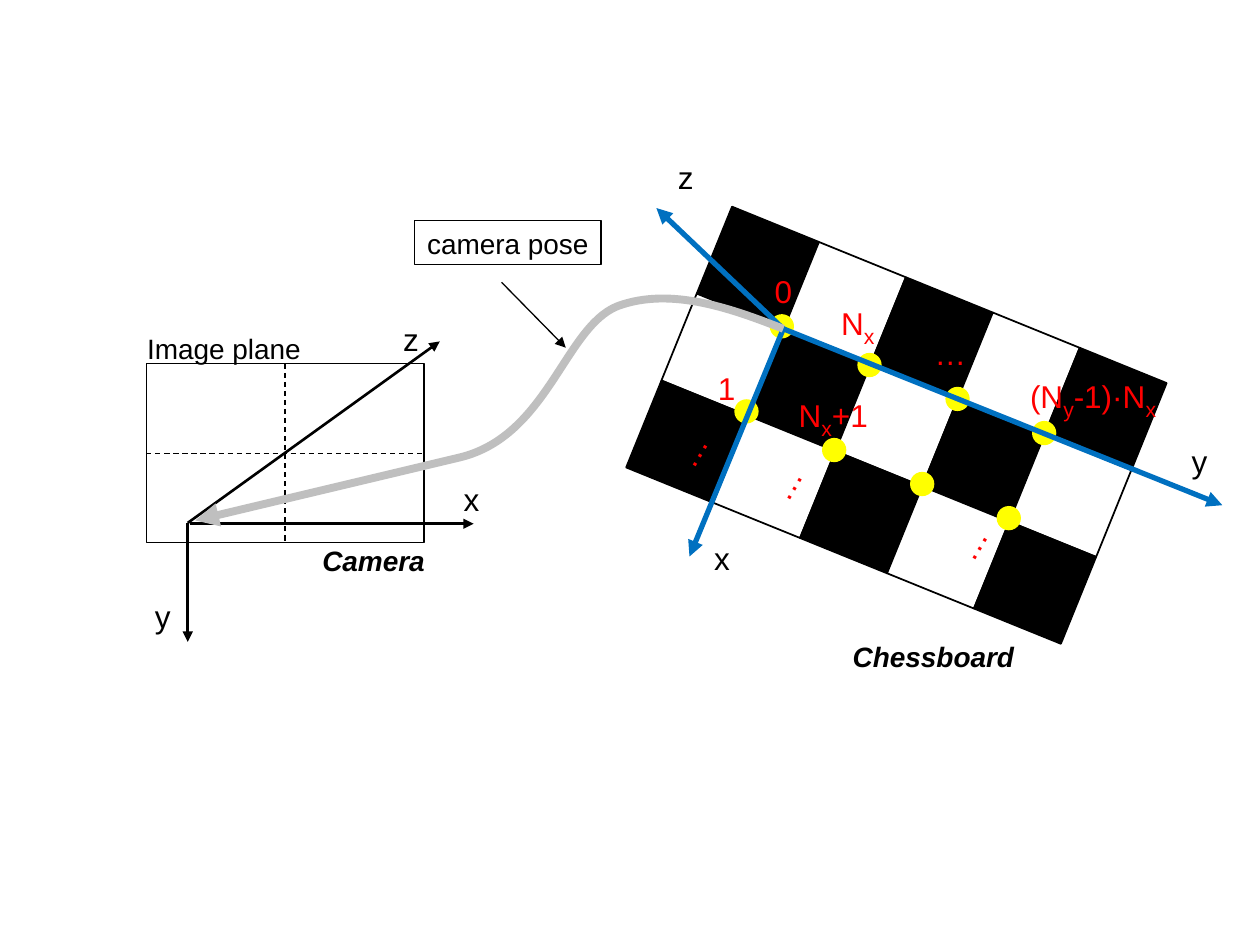
from math import atan2, degrees, hypot
from lxml.etree import SubElement
from pptx import Presentation
from pptx.dml.color import RGBColor
from pptx.enum.dml import MSO_LINE
from pptx.enum.shapes import MSO_CONNECTOR, MSO_SHAPE
from pptx.enum.text import PP_ALIGN
from pptx.oxml.ns import qn
from pptx.util import Pt

THEME = {
    "font": "Arial",
    "black": RGBColor(0, 0, 0),
    "white": RGBColor(255, 255, 255),
    "red": RGBColor(255, 0, 0),
    "yellow": RGBColor(255, 255, 0),
    "blue": RGBColor(0, 112, 192),
    "grey": RGBColor(191, 191, 191),
    "axis": 18,
    "caption": 16,
    "subscript": 20.8,
}

CAMERA = (107.3, 298.8)
CAMERA_AXES = [(CAMERA, (107.3, 366.8)), (CAMERA, (251.3, 195.1)),
               ((108.5, 299.3), (270.7, 299.3))]
PLANE = (83.6, 207.9, 158.7, 102.2)

BOARD, ROWS, COLS = (418.3, 118.1), 3, 5
STEP = (49.68, 20.16)
ORIGIN = (447.6, 187.9)
BOARD_AXES = [(ORIGIN, (698.5, 288.7)), (ORIGIN, (394, 318)),
              (ORIGIN, (375.1, 118.9))]
DOTS = [(446.8, 186.5), (496.9, 208.6), (547.2, 228), (596.7, 247.5)]
DOT_ROWS = [(0, 0), (-20.2, 48.6)]
DOT = 13.9

AXIS_LABELS = [
    ("z", 223.2, 179.5), ("y", 81.4, 337.7), ("x", 257.8, 270.9),
    ("z", 380.2, 86.6), ("y", 673.9, 249.3), ("x", 401, 304.6),
]
CAPTIONS = [
    ("Image plane", 77, 185.6, 102.2, False),
    ("Camera", 177.1, 306.9, 72.7, True),
    ("Chessboard", 480.2, 361.8, 106.6, True),
]
CORNER_LABELS = [
    (["0"], 435.6, 152, 24.5, 0),
    (["1"], 403.2, 207.2, 24.5, 0),
    (["N", "x", "+1"], 449.3, 220, 56, 0),
    (["N", "x"], 473.5, 167.4, 38, 0),
    (["(N", "y", "-1)·N", "x"], 581.5, 209.2, 90, 0),
    (["…"], 527, 187.2, 32.4, 0),
    (["…"], 378, 243.4, 32.4, 300.3),
    (["…"], 432, 262.1, 32.4, 300.3),
    (["…"], 537.8, 296.6, 32.4, 300.3),
]
POSE_START = (447.6, 187.9)
POSE_CURVES = [[(419.8, 177.1), (383.8, 163.4), (352.8, 175)],
               [(322.6, 187.2), (313.2, 249.1), (262.8, 261.4)]]
POSE_END = (111.6, 297.4)
POSE_LABEL = ("camera pose", 236.9, 126, 106.6, 25.2)
POSE_POINTER = ((286.6, 161.3), (323.3, 198.7))


def style_line(line, color, width):
    line.color.rgb = THEME[color]
    line.width = Pt(width)


def add_arrowhead(sp):
    SubElement(sp.line._get_or_add_ln(), qn("a:tailEnd"), type="triangle")


def add_line(shapes, start, end, color, width, arrow=True):
    line = shapes.add_connector(MSO_CONNECTOR.STRAIGHT, *map(Pt, start + end))
    style_line(line.line, color, width)
    SubElement(line._element.spPr, qn("a:effectLst"))
    if arrow:
        add_arrowhead(line)
    return line


def add_preset(shapes, kind, box, fill=None, line=None, width=1):
    sp = shapes.add_shape(kind, *map(Pt, box))
    sp.shadow.inherit = False
    if fill:
        sp.fill.solid()
        sp.fill.fore_color.rgb = THEME[fill]
    else:
        sp.fill.background()
    if line:
        style_line(sp.line, line, width)
    else:
        sp.line.fill.background()
    return sp


def add_label(shapes, parts, box, size, color="black", strong=False, rotation=0):
    sp = shapes.add_textbox(*map(Pt, box))
    sp.rotation = rotation
    tf = sp.text_frame
    tf.word_wrap = False
    p = tf.paragraphs[0]
    for i, part in enumerate(parts):
        r = p.add_run()
        r.text = part
        r.font.name = THEME["font"]
        r.font.size = Pt(THEME[size])
        r.font.color.rgb = THEME[color]
        if strong:
            r.font.bold = r.font.italic = True
        if i % 2:
            r.font.size = Pt(THEME["subscript"])
            r.font._element.set("baseline", "-25000")
    return sp


def add_image_plane(shapes):
    plane = add_preset(shapes, MSO_SHAPE.RECTANGLE, PLANE, line="black", width=0.75)
    for first, last in [(1, 3), (0, 2)]:
        line = add_line(shapes, (0, 0), (0, 0), "black", 0.75, arrow=False)
        line.begin_connect(plane, first)
        line.end_connect(plane, last)
        line.line.dash_style = MSO_LINE.DASH


def add_chessboard(shapes):
    dx, dy = STEP
    side = hypot(dx, dy)
    for row in range(ROWS):
        for col in range(COLS):
            x = BOARD[0] + (col + 0.5) * dx - (row + 0.5) * dy
            y = BOARD[1] + (col + 0.5) * dy + (row + 0.5) * dx
            fill = "white" if (row + col) % 2 else "black"
            box = (x - side / 2, y - side / 2, side, side)
            square = add_preset(shapes, MSO_SHAPE.RECTANGLE, box, fill, "black")
            square.rotation = degrees(atan2(dy, dx))
    for ox, oy in DOT_ROWS:
        for x, y in DOTS:
            box = (x + ox - DOT / 2, y + oy - DOT / 2, DOT, DOT)
            add_preset(shapes, MSO_SHAPE.OVAL, box, "yellow")


def add_pose_curve(shapes):
    points = [pt for curve in POSE_CURVES for pt in curve] + [POSE_END]
    builder = shapes.build_freeform(*map(Pt, POSE_START))
    builder.add_line_segments([(Pt(x), Pt(y)) for x, y in points], close=False)
    sp = builder.convert_to_shape()
    sp.shadow.inherit = False
    sp.fill.background()
    style_line(sp.line, "grey", 4.5)
    add_arrowhead(sp)
    segments = list(sp._element.iter(qn("a:lnTo")))
    for i in range(0, 3 * len(POSE_CURVES), 3):
        first, *others = segments[i:i + 3]
        first.tag = qn("a:cubicBezTo")
        for other in others:
            first.append(other[0])
            other.getparent().remove(other)


def main():
    prs = Presentation()
    prs.slide_width, prs.slide_height = Pt(720), Pt(540)
    shapes = prs.slides.add_slide(prs.slide_layouts[6]).shapes

    for start, end in CAMERA_AXES:
        add_line(shapes, start, end, "black", 1.5)
    add_image_plane(shapes)
    add_chessboard(shapes)
    for start, end in BOARD_AXES:
        add_line(shapes, start, end, "blue", 3)

    for text, x, y in AXIS_LABELS:
        add_label(shapes, [text], (x, y, 23, 27.4), "axis")
    for text, x, y, w, strong in CAPTIONS:
        add_label(shapes, [text], (x, y, w, 25.2), "caption", strong=strong)
    for parts, x, y, w, rotation in CORNER_LABELS:
        h = 31 if len(parts) > 1 else 27.4
        add_label(shapes, parts, (x, y, w, h), "axis", "red", rotation=rotation)

    add_pose_curve(shapes)
    text, *box = POSE_LABEL
    label = add_label(shapes, [text], box, "caption")
    label.text_frame.paragraphs[0].alignment = PP_ALIGN.CENTER
    style_line(label.line, "black", 0.75)
    add_line(shapes, *POSE_POINTER, "black", 0.75)

    prs.save("out.pptx")


if __name__ == "__main__":
    main()
